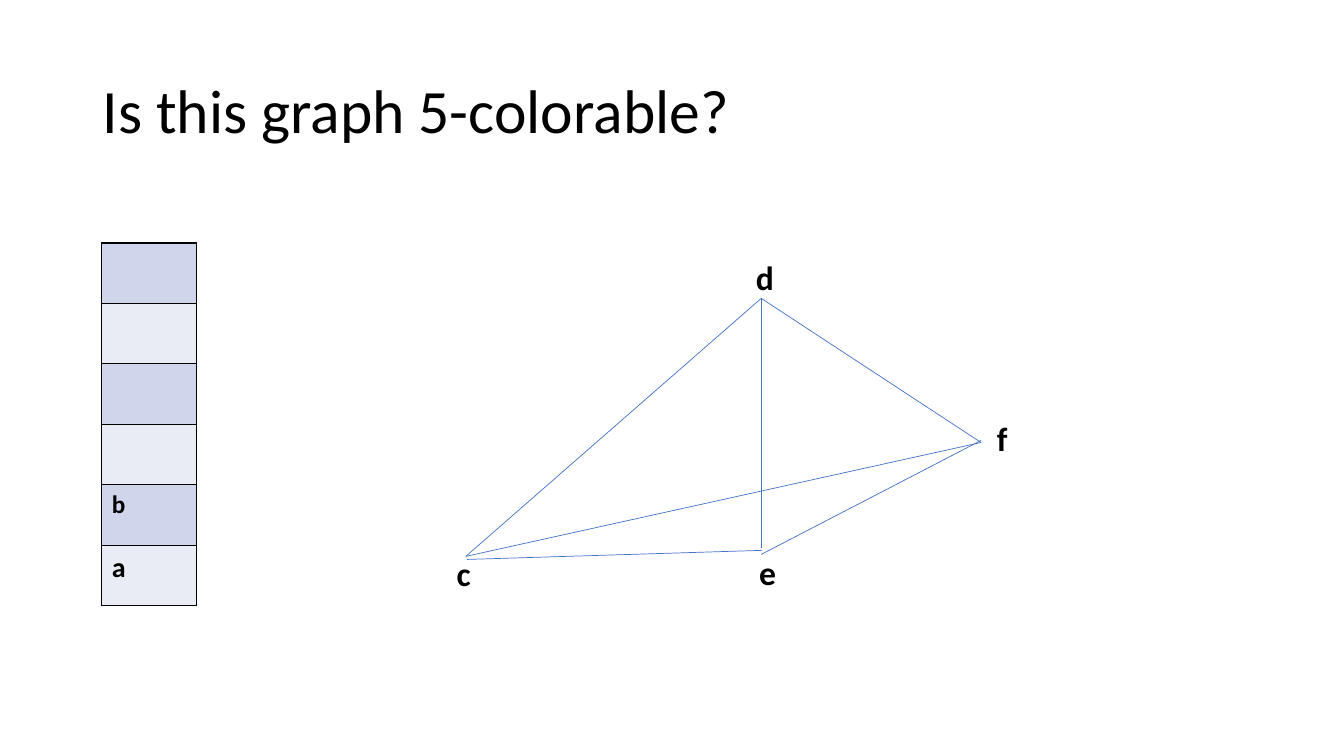
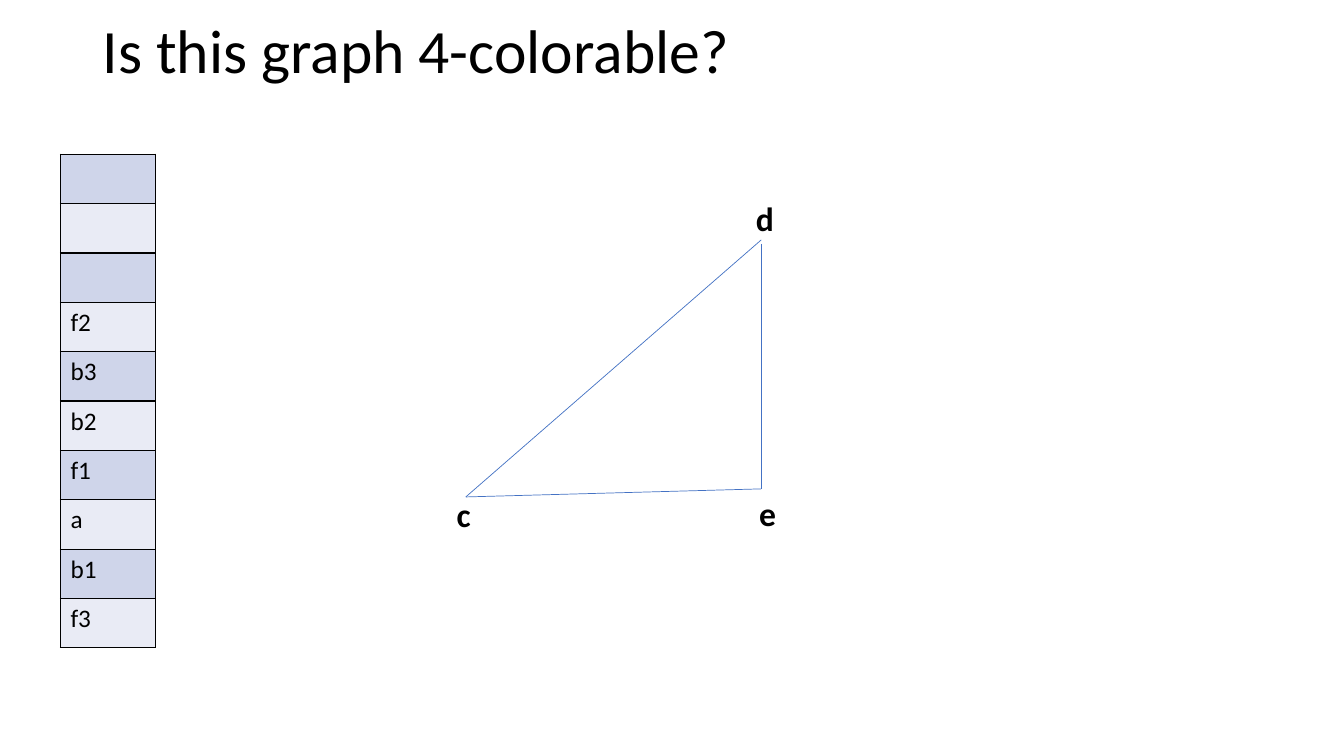
from lxml import etree
from pptx import Presentation
from pptx.dml.color import RGBColor
from pptx.enum import shapes, text
from pptx.oxml import ns
from pptx.util import Inches, Pt

FONT = "Calibri"
BLACK, EDGE = "000000", "4472C4"
BANDS = ("CFD5EA", "E9EBF5")
COLUMN_WIDTH = 0.94

# Label positions; the whole graph is moved up by "rise" on a slide
LABELS = {"d": (7.4, 2.5), "f": (9.79, 4.1), "e": (7.43, 5.43), "c": (4.43, 5.44)}
SLIDES = [
    {
        "title": "Is this graph 5-colorable?",
        "rise": 0,
        "vertices": "dfec",
        "edges": [
            ((7.55, 2.96), (9.73, 4.39)),
            ((7.55, 5.5), (9.73, 4.37)),
            ((4.62, 5.52), (9.73, 4.39)),
            ((4.62, 5.52), (7.55, 2.96)),
            ((7.55, 2.96), (7.55, 5.44)),
            ((7.56, 5.46), (4.63, 5.55)),
        ],
        "stack": ["", "", "", "", "b", "a"],
        "stack_at": (1.01, 2.41),
        "row_height": 0.6,
        "bold": True,
        "sizes": {"a": 20},
    },
    {
        "title": "Is this graph 4-colorable?",
        "rise": 0.59,
        "vertices": "dec",
        "edges": [
            ((4.62, 5.52), (7.55, 2.97)),
            ((7.55, 3.01), (7.55, 5.44)),
            ((4.62, 5.52), (7.55, 5.44)),
        ],
        "stack": ["", "", "", "f2", "b3", "b2", "f1", "a", "b1", "f3"],
        "stack_at": (0.6, 1.53),
        "row_height": 0.49,
        "bold": False,
        "sizes": {},
    },
]


def rgb(value):
    return RGBColor.from_string(value)


def style(p, size, bold=False):
    p.font.name, p.font.size, p.font.bold = FONT, Pt(size), bold
    p.font.color.rgb = rgb(BLACK)


def add_title(s, title, rise):
    sp = s.shapes.title
    sp.left, sp.top = Inches(0.92), Inches(0.4 - rise)
    sp.width, sp.height = Inches(11.5), Inches(1.45)
    tf = sp.text_frame
    tf.text = title
    tf.auto_size = text.MSO_AUTO_SIZE.NONE
    tf.vertical_anchor = text.MSO_ANCHOR.MIDDLE
    p = tf.paragraphs[0]
    p.alignment, p.line_spacing = text.PP_ALIGN.LEFT, 0.9
    style(p, 44)


def add_edge(s, start, end, rise):
    (x1, y1), (x2, y2) = start, end
    line = s.shapes.add_connector(
        shapes.MSO_CONNECTOR.STRAIGHT,
        Inches(x1), Inches(y1 - rise), Inches(x2), Inches(y2 - rise))
    line.line.color.rgb, line.line.width = rgb(EDGE), Pt(0.5)
    etree.SubElement(line._element.spPr, ns.qn("a:effectLst"))


def add_label(s, name, rise):
    x, y = LABELS[name]
    sp = s.shapes.add_textbox(Inches(x), Inches(y - rise), Inches(0.87), Inches(0.5))
    tf = sp.text_frame
    tf.word_wrap = True
    tf.text = name
    style(tf.paragraphs[0], 24, True)


def add_borders(cell):
    """Outline a cell; borders must precede its fill in the XML."""
    props = cell._tc.get_or_add_tcPr()
    for i, side in enumerate("LRTB"):
        border = etree.Element(ns.qn(f"a:ln{side}"), w=str(Pt(1)))
        fill = etree.SubElement(border, ns.qn("a:solidFill"))
        etree.SubElement(fill, ns.qn("a:srgbClr"), val=BLACK)
        props.insert(i, border)


def add_stack(s, spec_):
    entries = spec_["stack"]
    x, y = spec_["stack_at"]
    height = Inches(spec_["row_height"])
    table = s.shapes.add_table(
        len(entries), 1, Inches(x), Inches(y),
        Inches(COLUMN_WIDTH), height * len(entries)).table
    table.first_row = False
    for i, entry in enumerate(entries):
        table.rows[i].height = height
        cell = table.cell(i, 0)
        cell.text = entry
        style(cell.text_frame.paragraphs[0],
              spec_["sizes"].get(entry, 18), spec_["bold"])
        cell.fill.solid()
        cell.fill.fore_color.rgb = rgb(BANDS[i % 2])
        add_borders(cell)


def main():
    prs = Presentation()
    prs.slide_width, prs.slide_height = Inches(13.33), Inches(7.5)
    for content in SLIDES:
        s = prs.slides.add_slide(prs.slide_layouts.get_by_name("Title Only"))
        rise = content["rise"]
        add_title(s, content["title"], rise)
        for start, end in content["edges"]:
            add_edge(s, start, end, rise)
        for name in content["vertices"]:
            add_label(s, name, rise)
        add_stack(s, content)
    prs.save("out.pptx")


if __name__ == "__main__":
    main()
